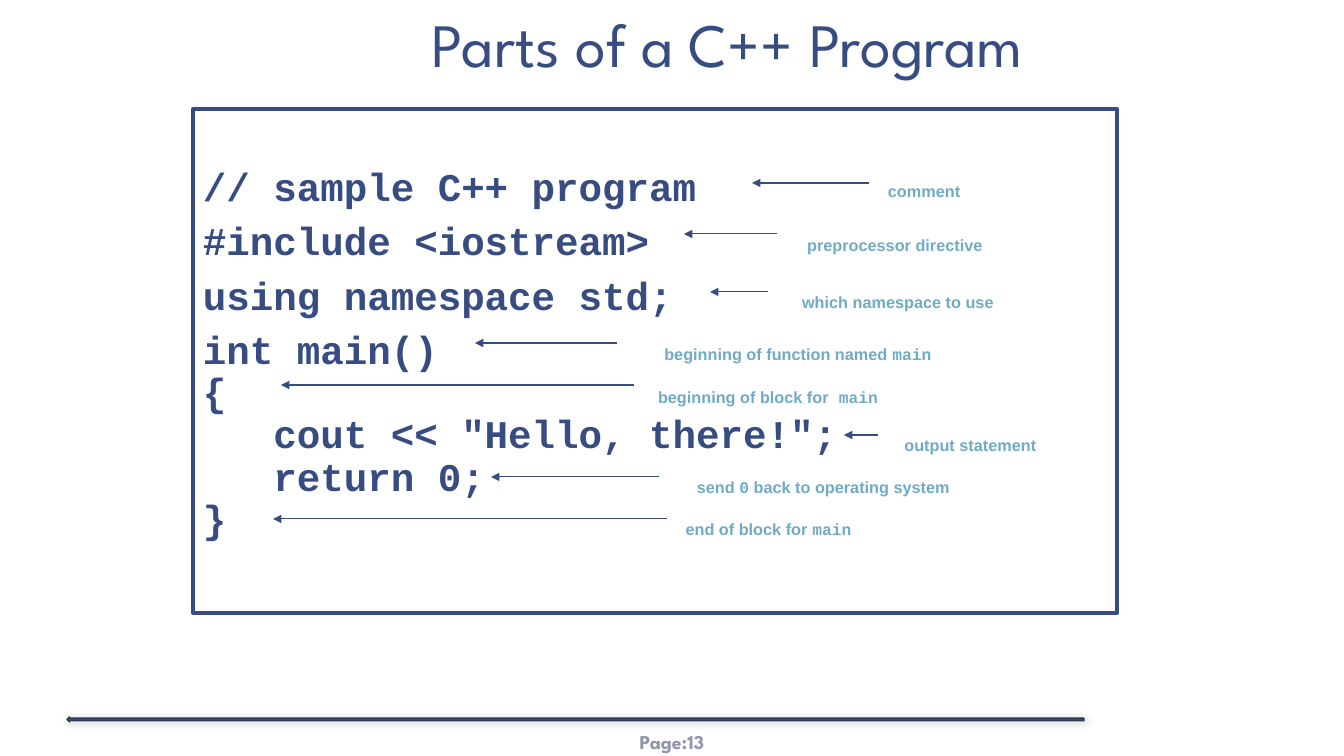
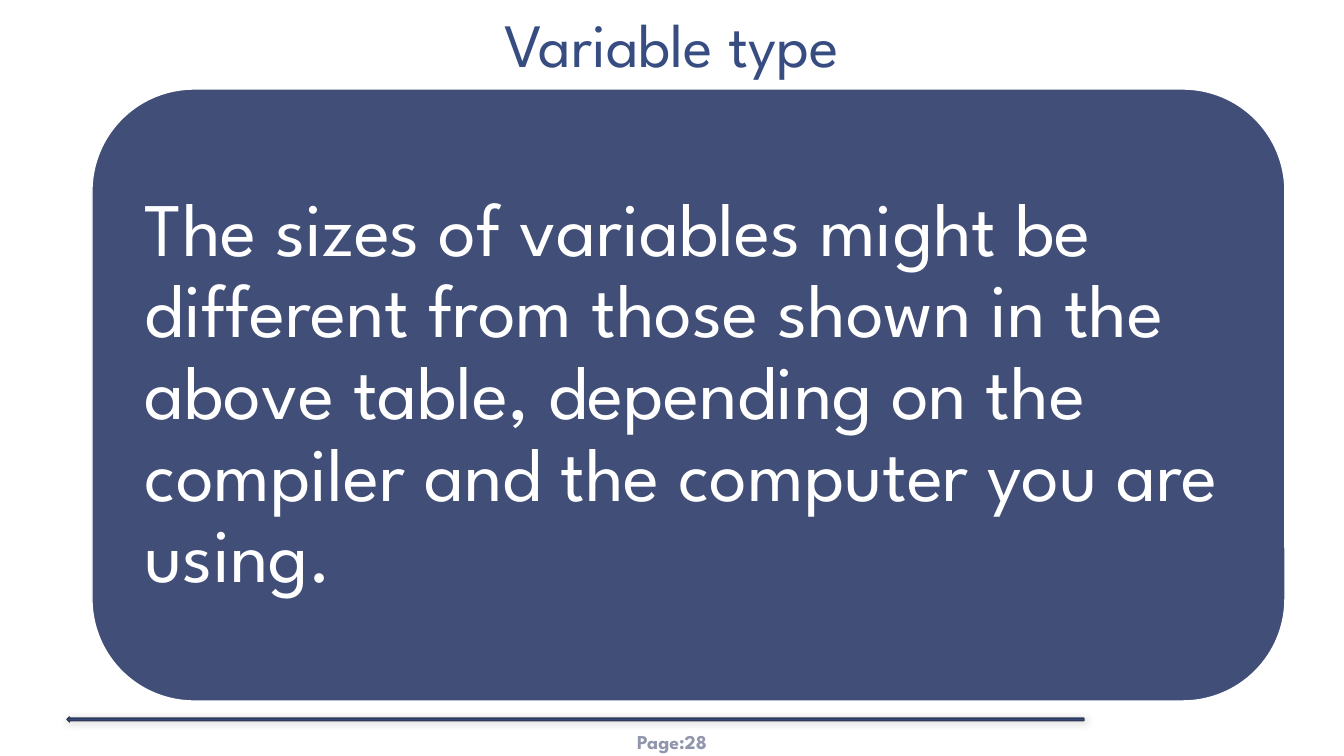
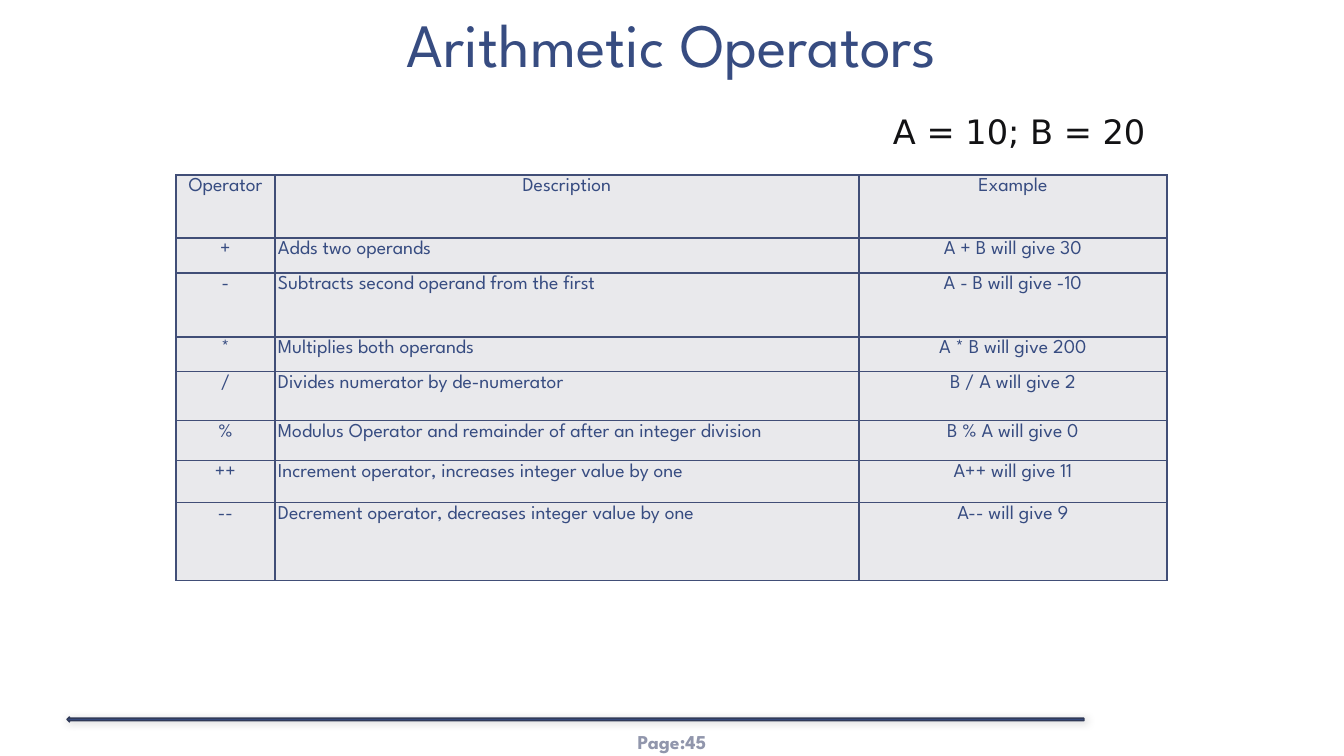
import pptx
import pptx.dml.color
import pptx.enum.shapes
import pptx.enum.text
import pptx.oxml
import pptx.oxml.ns
import pptx.util

EMU_PER_PX = 914400 / 100.8
SLIDE_W, SLIDE_H = 1344, 756
TITLE_ONLY = 5
COLORS = {
    "navy": "374C81",
    "edge": "303A58",
    "panel": "414E77",
    "label": "70AAC4",
    "footer": "9196AC",
    "cell": "E9E9EC",
    "ink": "121214",
    "white": "FFFFFF",
}
HEADING_FONT, LABEL_FONT, CODE_FONT = "League Spartan", "Arial", "Courier New"
FORMULA_FONT = "DejaVu Sans"
SHAPES = pptx.enum.shapes.MSO_SHAPE
ALIGN = pptx.enum.text.PP_ALIGN
ANCHOR = pptx.enum.text.MSO_ANCHOR
AUTO_SIZE = pptx.enum.text.MSO_AUTO_SIZE


def px(length):
    return pptx.util.Emu(round(length * EMU_PER_PX))


def rgb(name):
    return pptx.dml.color.RGBColor.from_string(COLORS[name])


def xml(fragment):
    """Parse one drawing element, given without its namespace declaration."""
    tag, rest = fragment.split(" ", 1)
    return pptx.oxml.parse_xml(f"{tag} {pptx.oxml.ns.nsdecls('a')} {rest}")


class Deck:
    """Holds the presentation, its style and the slide being built."""

    def __init__(self):
        self.presentation = pptx.Presentation()
        self.presentation.slide_width = px(SLIDE_W)
        self.presentation.slide_height = px(SLIDE_H)
        self.slide = None

    def start_slide(self, title, page, title_left=0):
        layout = self.presentation.slide_layouts[TITLE_ONLY]
        self.slide = self.presentation.slides.add_slide(layout)
        self.footer(page)
        heading = self.slide.shapes.title
        heading.left, heading.top = px(title_left), px(0)
        heading.width, heading.height = px(SLIDE_W - title_left), px(87)
        frame = heading.text_frame
        frame.text = title
        self.frame_style(frame, (13, 7, 13, 7), ANCHOR.BOTTOM)
        self.style(frame.paragraphs[0], 44, "navy", align=ALIGN.CENTER, spacing=0.85)

    def footer(self, page):
        self.text(f"Page:{page}", (583, 722, 178, 40), 14, "footer", bold=True,
                  align=ALIGN.CENTER, insets=(4, 2, 4, 2), anchor=ANCHOR.MIDDLE)
        rule = self.shape(SHAPES.LEFT_ARROW, (67, 717, 1017, 5), "navy", "edge", 1)
        effects = rule._element.spPr.find(pptx.oxml.ns.qn("a:effectLst"))
        effects.append(xml(
            '<a:outerShdw blurRad="76200" dist="12700" dir="2700000">'
            '<a:srgbClr val="000000"><a:alpha val="20000"/></a:srgbClr></a:outerShdw>'))

    def frame_style(self, frame, insets, anchor=ANCHOR.TOP, wrap=True,
                    auto_size=AUTO_SIZE.NONE):
        frame.word_wrap = wrap
        frame.auto_size = auto_size
        frame.vertical_anchor = anchor
        (frame.margin_left, frame.margin_top,
         frame.margin_right, frame.margin_bottom) = map(px, insets)

    def style(self, paragraph, size, color, font=HEADING_FONT, bold=False,
              align=ALIGN.LEFT, spacing=None):
        paragraph.alignment = align
        paragraph.line_spacing = spacing
        for run in paragraph.runs:
            run.font.name = font
            run.font.size = pptx.util.Pt(size)
            run.font.bold = bold
            run.font.color.rgb = rgb(color)

    def shape(self, preset, box, fill, line, line_width):
        shape = self.slide.shapes.add_shape(preset, *map(px, box))
        shape.shadow.inherit = False
        if fill:
            shape.fill.solid()
            shape.fill.fore_color.rgb = rgb(fill)
        else:
            shape.fill.background()
        shape.line.color.rgb = rgb(line)
        shape.line.width = pptx.util.Pt(line_width)
        return shape

    def text(self, words, box, size, color, insets=(10, 5, 10, 5),
             anchor=ANCHOR.TOP, wrap=True, **style):
        frame = self.slide.shapes.add_textbox(*map(px, box)).text_frame
        self.frame_style(frame, insets, anchor, wrap)
        frame.text = words
        self.style(frame.paragraphs[0], size, color, **style)

    def code_panel(self, lines, box, top_inset, spaced_lines):
        """Framed listing; the first spaced_lines lines have a gap between them."""
        panel = self.shape(SHAPES.RECTANGLE, box, None, "navy", 3)
        frame = panel.text_frame
        self.frame_style(frame, (10, top_inset, 10, 5))
        frame.text = "\n".join(lines)
        for number, paragraph in enumerate(frame.paragraphs):
            self.style(paragraph, 28, "navy", CODE_FONT, bold=True, spacing=0.9)
            if 0 < number < spaced_lines:
                paragraph.space_before = pptx.util.Pt(8.4)

    def label(self, words, box, spacing, align=ALIGN.CENTER):
        """Lowered caption; parts between backticks are set in the code font."""
        frame = self.slide.shapes.add_textbox(*map(px, box)).text_frame
        self.frame_style(frame, (10, 5, 10, 5), auto_size=AUTO_SIZE.SHAPE_TO_FIT_TEXT)
        paragraph = frame.paragraphs[0]
        for part in words.split("`"):
            if part:
                paragraph.add_run().text = part
        self.style(paragraph, 20, "label", LABEL_FONT, True, align, spacing)
        for number, run in enumerate(paragraph.runs):
            if number % 2:
                run.font.name = CODE_FONT
            run._r.get_or_add_rPr().set("baseline", "-25000")

    def arrow(self, start, end, y):
        arrow = self.slide.shapes.add_connector(
            pptx.enum.shapes.MSO_CONNECTOR.STRAIGHT, px(start), px(y), px(end), px(y))
        arrow.line.color.rgb = rgb("navy")
        arrow.line.width = pptx.util.Pt(0.75)
        properties = arrow._element.spPr
        properties.find(pptx.oxml.ns.qn("a:ln")).append(xml('<a:tailEnd type="triangle"/>'))
        properties.append(xml("<a:effectLst />"))

    def panel(self, words, box):
        panel = self.shape(SHAPES.ROUNDED_RECTANGLE, box, "panel", "white", 1)
        frame = panel.text_frame
        self.frame_style(frame, (23, 23, 23, 23), ANCHOR.MIDDLE)
        frame.text = words
        self.style(frame.paragraphs[0], 54, "white", spacing=0.9)

    def table(self, rows, left, top, widths, heights):
        table = self.slide.shapes.add_table(
            len(rows), len(widths), px(left), px(top),
            px(sum(widths)), px(sum(heights))).table
        table.first_row = table.horz_banding = False
        for column, width in zip(table.columns, widths):
            column.width = px(width)
        for row, height in zip(table.rows, heights):
            row.height = px(height)
        for r, row in enumerate(rows):
            for c, words in enumerate(row):
                is_description = r > 0 and c == 1
                self.cell(table.cell(r, c), words,
                          ALIGN.LEFT if is_description else ALIGN.CENTER)

    def cell(self, cell, words, align):
        cell.text = words
        (cell.margin_left, cell.margin_top,
         cell.margin_right, cell.margin_bottom) = [px(3)] * 4
        self.style(cell.text_frame.paragraphs[0], 14, "navy", align=align)
        properties = cell._tc.get_or_add_tcPr()
        for side in "LRTB":
            properties.append(xml(
                f'<a:ln{side} w="12700"><a:solidFill>'
                f'<a:srgbClr val="{COLORS["panel"]}"/></a:solidFill></a:ln{side}>'))
        cell.fill.solid()
        cell.fill.fore_color.rgb = rgb("cell")


CODE = [
    "// sample C++ program",
    "#include <iostream>",
    "using namespace std;",
    "int main()",
    "{",
    '   cout << "Hello, there!";',
    "   return 0;",
    "}",
]
LABELS = [
    ("comment", (878, 158, 202, 43), None, ALIGN.LEFT),
    ("preprocessor directive", (710, 218, 370, 33), 0.7),
    ("which namespace to use", (709, 275, 378, 33), 0.7),
    ("beginning of function named `main`", (550, 324, 496, 37), 0.8),
    ("beginning of block for` main`", (558, 367, 420, 37), 0.8),
    ("output statement", (836, 418, 269, 33), 0.7),
    ("send `0` back to operating system", (588, 460, 471, 33), 0.7),
    ("end of block for `main`", (596, 502, 345, 33), 0.7),
]
ARROWS = [
    (869, 752, 183),
    (777, 684, 234),
    (768, 710, 292),
    (617, 475, 343),
    (634, 281, 385),
    (878, 844, 435),
    (659, 491, 477),
    (667, 273, 519),
]
OPERATORS = [
    ("Operator", "Description", "Example"),
    ("+", "Adds two operands", "A + B will give 30"),
    ("-", "Subtracts second operand from the first", "A - B will give -10"),
    ("*", "Multiplies both operands", "A * B will give 200"),
    ("/", "Divides numerator by de-numerator", "B / A will give 2"),
    ("%", "Modulus Operator and remainder of after an integer division",
     "B % A will give 0"),
    ("++", "Increment operator, increases integer value by one", "A++ will give 11"),
    ("--", "Decrement operator, decreases integer value by one", "A-- will give 9"),
]


def main():
    deck = Deck()

    deck.start_slide("Parts of a C++ Program", 13, title_left=112)
    deck.code_panel(CODE, (193, 109, 924, 504), top_inset=59, spaced_lines=4)
    for label in LABELS:
        deck.label(*label)
    for arrow in ARROWS:
        deck.arrow(*arrow)

    deck.start_slide("Variable type", 28)
    deck.panel("The sizes of variables might be different from those shown in the "
               "above table, depending on the compiler and the computer you are using.",
               (92, 89, 1193, 612))

    deck.start_slide("Arithmetic Operators", 45)
    deck.table(OPERATORS, 176, 175, widths=(99, 584, 308),
               heights=(63, 35, 64, 35, 49, 40, 42, 78))
    deck.text("A = 10; B = 20", (883, 106, 284, 50), 24, "ink",
              font=FORMULA_FONT, wrap=False)

    deck.presentation.save("out.pptx")


if __name__ == "__main__":
    main()
